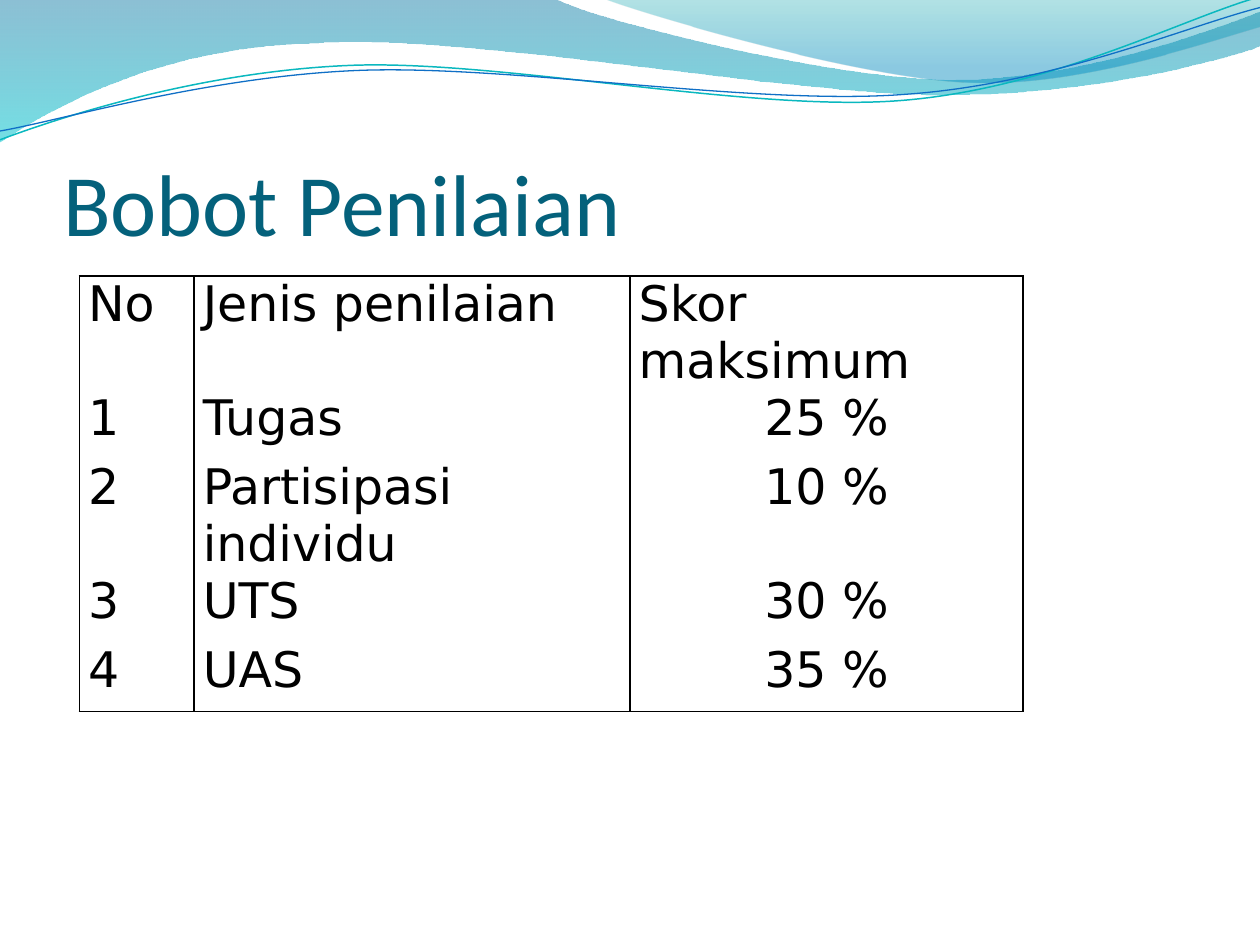
import pptx
import pptx.dml.color
import pptx.enum.text
import pptx.oxml
import pptx.oxml.ns
import pptx.util
from pptx.util import Inches

PP_ALIGN = pptx.enum.text.PP_ALIGN
qn = pptx.oxml.ns.qn
NS = pptx.oxml.ns.nsdecls("a")

BANDS = [
    ([(0, 0), (4.4, -0.01),
      (4.76, 0.17, 6.64, 0.63, 7.58, 0.63), (8.53, 0.63, 9.58, 0.26, 10, 0.09),
      (10.01, 0.36),
      (9.83, 0.44, 8.7, 0.76, 7.46, 0.75), (6.22, 0.75, 3.82, 0.28, 2.57, 0.34),
      (1.29, 0.36, 0.46, 0.83, -0.01, 1.13)],
     [(0, "0074A1", 45), (1, "00C6CF", 55)]),
    ([(4.79, -0.01),
      (5.09, 0.11, 6.82, 0.62, 7.69, 0.65), (8.56, 0.69, 9.61, 0.32, 10, 0.21),
      (10, 0)],
     [(0, "00A1A9", 30), (0.8, "008BBF", 45)]),
]
WAVES = [
    ([(0, 1.11), (0.48, 0.93, 1.58, 0.57, 2.77, 0.52),
      (3.95, 0.47, 5.93, 0.89, 7.13, 0.8), (8.33, 0.71, 9.38, 0.15, 9.98, -0.02)],
     "0AB8BF", 0.85),
    ([(0, 1.04), (0.47, 0.96, 1.64, 0.61, 2.83, 0.56),
      (4.03, 0.51, 5.97, 0.84, 7.17, 0.75), (8.36, 0.67, 9.41, 0.21, 10, 0.06)],
     "0F6FC6", 0.75),
]
ROWS = [
    ("No", "Jenis penilaian", "Skor maksimum"),
    ("1", "Tugas", "25 %"),
    ("2", "Partisipasi individu", "10 %"),
    ("3", "UTS", "30 %"),
    ("4", "UAS", "35 %"),
]
COL_WIDTHS = [0.91, 3.46, 3.12]
ROW_HEIGHTS = [0.75] + [0.55] * 4


def rgb(color):
    return pptx.dml.color.RGBColor.from_string(color)


def bend(sp, line, segment):
    points = "".join(
        f'<a:pt x="{Inches(x) - sp.left}" y="{Inches(y) - sp.top}"/>'
        for x, y in zip(segment[::2], segment[1::2]))
    curve = pptx.oxml.parse_xml(f"<a:cubicBezTo {NS}>{points}</a:cubicBezTo>")
    line.getparent().replace(line, curve)


def add_outline(s, segments, close):
    ends = [tuple(map(Inches, segment[-2:])) for segment in segments]
    builder = s.shapes.build_freeform(*ends[0])
    builder.add_line_segments(ends[1:], close=close)
    sp = builder.convert_to_shape()
    sp.shadow.inherit = False
    lines = list(sp._element.spPr.iter(qn("a:lnTo")))
    for line, segment in zip(lines, segments[1:]):
        if len(segment) == 6:
            bend(sp, line, segment)
    return sp


def add_band(s, segments, stops):
    sp = add_outline(s, segments, True)
    sp.line.fill.background()
    sp.fill.gradient()
    sp.fill.gradient_angle = 270
    for stop, (position, color, opacity) in zip(sp.fill.gradient_stops, stops):
        stop.position = position
        stop.color.rgb = rgb(color)
    colors = sp._element.spPr.iter(qn("a:srgbClr"))
    for element, (position, color, opacity) in zip(colors, stops):
        element.append(pptx.oxml.parse_xml(f'<a:alpha {NS} val="{opacity * 1000}"/>'))


def add_wave(s, segments, color, width):
    sp = add_outline(s, segments, False)
    sp.fill.background()
    sp.line.color.rgb = rgb(color)
    sp.line.width = pptx.util.Pt(width)


def set_title(s, text):
    sp = s.shapes.title
    sp.left, sp.top, sp.width, sp.height = map(Inches, (0.5, 0.77, 9, 1.25))
    tf = sp.text_frame
    tf.text = text
    tf.vertical_anchor = pptx.enum.text.MSO_ANCHOR.BOTTOM
    tf.margin_left = tf.margin_right = tf.margin_bottom = 0
    tf.margin_top = Inches(0.05)
    p = tf.paragraphs[0]
    p.alignment = PP_ALIGN.LEFT
    p.font.name = "Calibri"
    p.font.size = pptx.util.Pt(50)
    p.font.color.rgb = rgb("04617B")


def set_borders(cell, sides):
    tcPr = cell._tc.get_or_add_tcPr()
    for i, side in enumerate("LRTB"):
        fill = ('<a:solidFill><a:srgbClr val="000000"/></a:solidFill>'
                if side in sides else "<a:noFill/>")
        tcPr.insert(i, pptx.oxml.parse_xml(
            f'<a:ln{side} {NS} w="12700">{fill}</a:ln{side}>'))


def fill_cell(cell, text, alignment):
    cell.text = text
    cell.margin_left = cell.margin_right = Inches(0.07)
    cell.margin_top = cell.margin_bottom = 0
    cell.fill.background()
    p = cell.text_frame.paragraphs[0]
    p.alignment = alignment
    p.font.name = "DejaVu Sans"
    p.font.size = pptx.util.Pt(28)
    p.font.color.rgb = rgb("000000")


def add_score_table(s):
    table = s.shapes.add_table(
        len(ROWS), len(COL_WIDTHS), Inches(0.63), Inches(2.19),
        Inches(sum(COL_WIDTHS)), Inches(sum(ROW_HEIGHTS))).table
    table.first_row = table.horz_banding = False
    for column, width in zip(table.columns, COL_WIDTHS):
        column.width = Inches(width)
    last = len(ROWS) - 1
    for i, texts in enumerate(ROWS):
        table.rows[i].height = Inches(ROW_HEIGHTS[i])
        sides = "LR" + ("T" if i == 0 else "") + ("B" if i == last else "")
        for j, text in enumerate(texts):
            is_score = i > 0 and j == 2
            cell = table.cell(i, j)
            fill_cell(cell, text, PP_ALIGN.CENTER if is_score else PP_ALIGN.JUSTIFY)
            set_borders(cell, sides)


def main():
    prs = pptx.Presentation()
    prs.slide_width, prs.slide_height = Inches(10), Inches(7.5)
    s = prs.slides.add_slide(prs.slide_layouts[5])
    for segments, stops in BANDS:
        add_band(s, segments, stops)
    for segments, color, width in WAVES:
        add_wave(s, segments, color, width)
    set_title(s, "Bobot Penilaian")
    s.shapes._spTree.append(s.shapes.title._element)
    add_score_table(s)
    prs.save("out.pptx")


if __name__ == "__main__":
    main()
